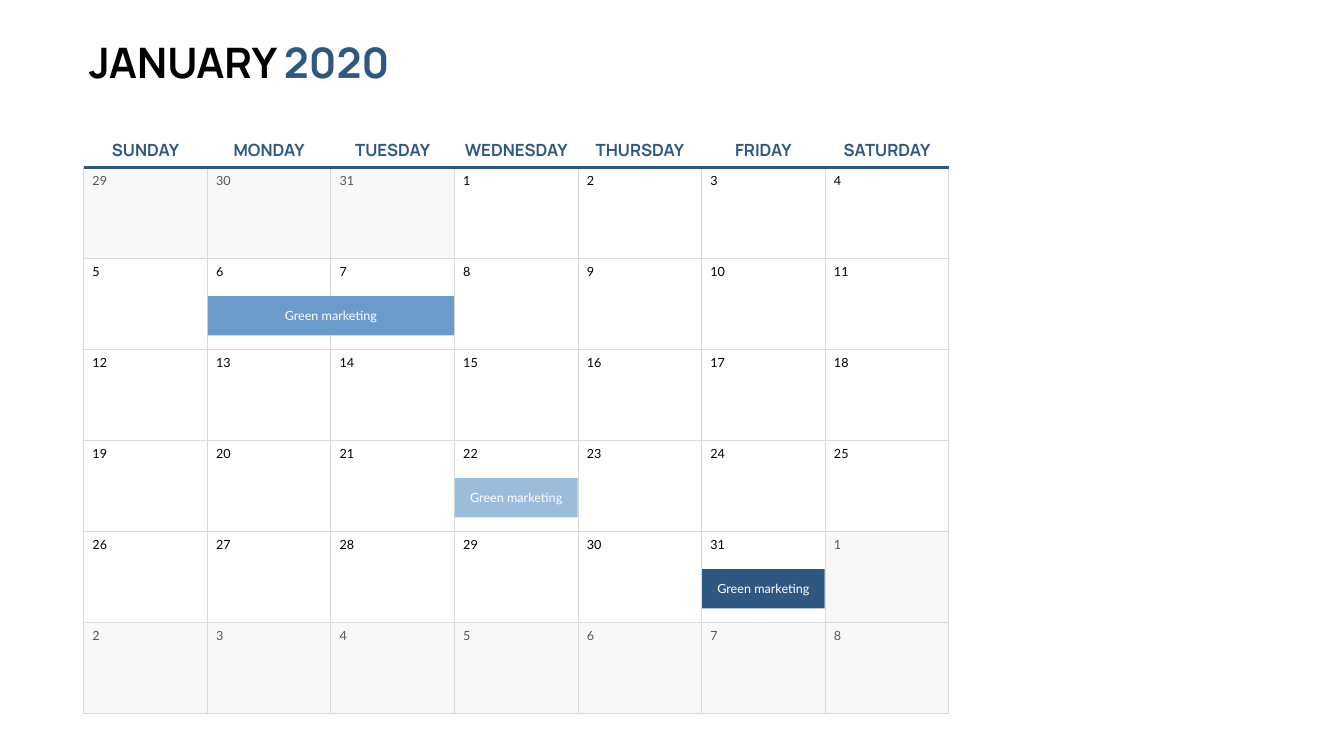
import pptx
import pptx.dml.color
import pptx.enum.shapes
import pptx.enum.text
import pptx.oxml
import pptx.oxml.ns
import pptx.util
from lxml import etree

Pt = pptx.util.Pt
RGB = pptx.dml.color.RGBColor.from_string
ALIGN = pptx.enum.text.PP_ALIGN
ANCHOR = pptx.enum.text.MSO_ANCHOR
RECT = pptx.enum.shapes.MSO_SHAPE.RECTANGLE
STRAIGHT = pptx.enum.shapes.MSO_CONNECTOR.STRAIGHT

COLORS = {
    "black": "000000", "white": "FFFFFF", "gray": "565656",
    "shade": "F2F2F2", "rule": "D9D9D9",
    "navy": "2E5882", "blue": "6B9BCB", "sky": "9CBCDC",
}
WEEK = 7
CELL_W, CELL_H = 176.5, 130
GRID = (119.6, 239.7, WEEK * CELL_W, 6 * CELL_H)
# Day name and width of its label
NAMES = [("SUNDAY", 117), ("MONDAY", 126), ("TUESDAY", 126), ("WEDNESDAY", 169),
         ("THURSDAY", 146), ("FRIDAY", 103), ("SATURDAY", 146)]
# Day number and whether it falls within the month
DAYS = ([(day, False) for day in range(29, 32)]
        + [(day, True) for day in range(1, 32)]
        + [(day, False) for day in range(1, 9)])
# Row, column, days covered, text, color
EVENTS = [(1, 1, 2, "Green marketing", "blue"),
          (3, 3, 1, "Green marketing", "sky"),
          (4, 5, 1, "Green marketing", "navy")]


def write(shape, *parts, font="Lato", size=18, bold=False, align=ALIGN.LEFT,
          anchor=ANCHOR.TOP, wrap=False):
    """Fill a shape with one paragraph of (text, color) parts."""
    frame = shape.text_frame
    frame.word_wrap = wrap
    frame.auto_size = pptx.enum.text.MSO_AUTO_SIZE.SHAPE_TO_FIT_TEXT
    frame.vertical_anchor = anchor
    para = frame.paragraphs[0]
    para.alignment = align
    for text, color in parts:
        run = para.add_run()
        run.text = text
        run.font.name = font
        run.font.size = Pt(size)
        run.font.bold = bold
        run.font.color.rgb = RGB(COLORS[color])


def add_text(shapes, box, text, color, **style):
    write(shapes.add_textbox(*map(Pt, box)), (text, color), **style)


def add_rect(shapes, box, fill, line=None, alpha=None):
    rect = shapes.add_shape(RECT, *map(Pt, box))
    rect.shadow.inherit = False
    rect.fill.solid()
    rect.fill.fore_color.rgb = RGB(COLORS[fill])
    if alpha:
        tone = rect.fill._xPr.find(".//" + pptx.oxml.ns.qn("a:srgbClr"))
        etree.SubElement(tone, pptx.oxml.ns.qn("a:alpha")).set("val", str(alpha * 1000))
    if line:
        rect.line.color.rgb = RGB(COLORS[line])
        rect.line.width = Pt(1.5)
    else:
        rect.line.fill.background()


def add_title(slide, box):
    title = slide.shapes.title
    title.left, title.top, title.width, title.height = map(Pt, box)
    write(title, ("JANUARY ", "black"), ("2020", "navy"),
          font="Manrope", size=60, bold=True)


def add_day(shapes, box, day, current):
    left, top = box[:2]
    if current:
        add_rect(shapes, box, "white", line="rule")
    else:
        add_rect(shapes, box, "shade", line="rule", alpha=50)
    width = 25 if day < 10 else 36
    add_text(shapes, (left + 5.4, top + 4, width, 28.8), str(day),
             "black" if current else "gray", anchor=ANCHOR.MIDDLE)


def add_grid(shapes, box):
    left, top = box[:2]
    for i, (day, current) in enumerate(DAYS):
        row, col = divmod(i, WEEK)
        cell = (left + col * CELL_W, top + row * CELL_H, CELL_W, CELL_H)
        add_day(shapes, cell, day, current)


def add_header(shapes, box):
    """Center the day names over the columns and underline them."""
    left, top, width, height = box
    for col, (name, span) in enumerate(NAMES):
        x = left + (col + 0.5) * CELL_W - span / 2
        add_text(shapes, (x, top, span, 36), name, "navy", font="Manrope", size=24,
                 bold=True, align=ALIGN.CENTER, anchor=ANCHOR.MIDDLE)
    base = top + height
    rule = shapes.add_connector(STRAIGHT, *map(Pt, (left, base, left + width, base)))
    rule.line.color.rgb = RGB(COLORS["navy"])
    rule.line.width = Pt(4.5)
    etree.SubElement(rule._element.spPr, pptx.oxml.ns.qn("a:effectLst"))


def add_event(shapes, box, text, color):
    left, top, width, height = box
    group = shapes.add_group_shape().shapes
    add_rect(group, box, color)
    add_text(group, (left + 11.5, top + 13.7, width - 23, 28.8), text, "white",
             align=ALIGN.CENTER, wrap=True)


def main():
    deck = pptx.Presentation()
    deck.slide_width, deck.slide_height = Pt(1919.52), Pt(1080)
    slide = deck.slides.add_slide(deck.slide_layouts[5])
    shapes = slide.shapes
    left, top, width, _ = GRID

    add_title(slide, (left, 48, 468, 80))
    add_grid(shapes, GRID)
    add_header(shapes, (left, top - 44, width, 44))
    for row, col, span, text, color in EVENTS:
        box = (left + col * CELL_W + 0.7, top + row * CELL_H + 53.3,
               span * CELL_W - 1.4, 56)
        add_event(shapes, box, text, color)
    deck.save("out.pptx")


if __name__ == "__main__":
    main()
